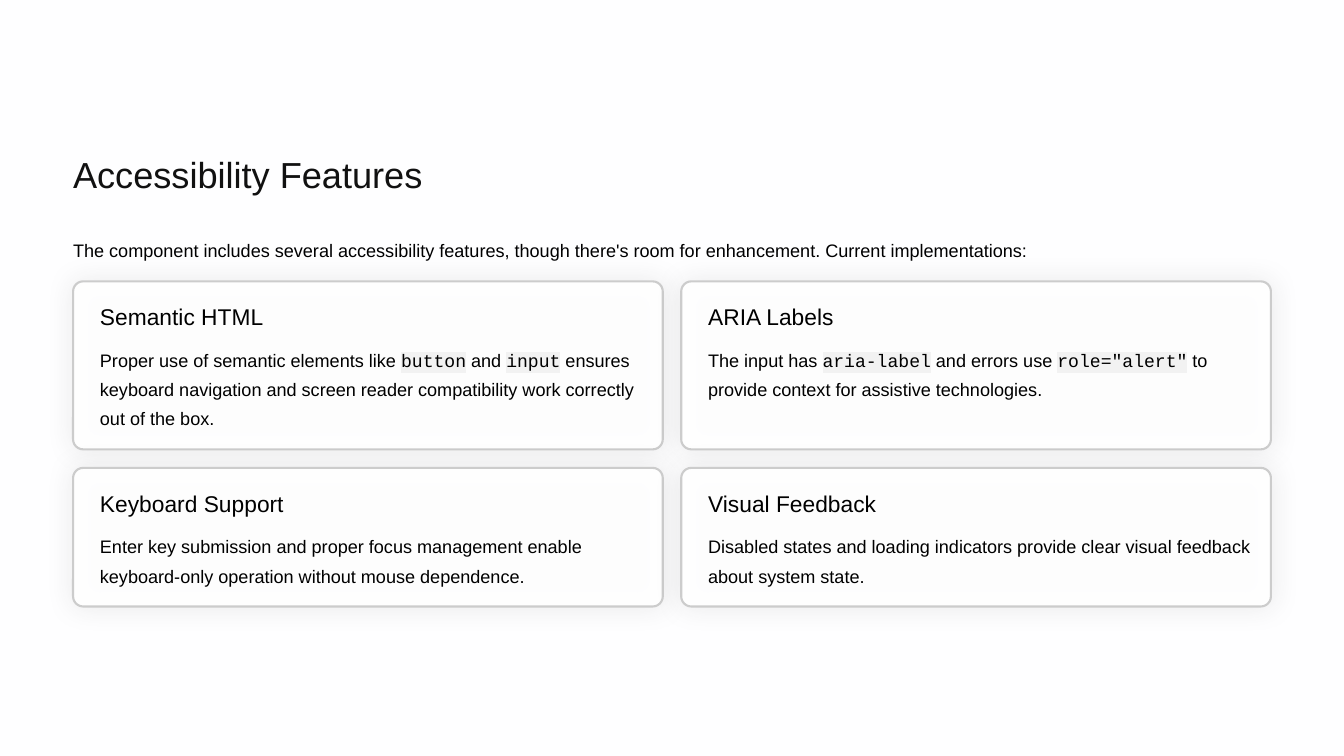
from lxml import etree
from pptx import Presentation
from pptx.dml.color import RGBColor
from pptx.enum.shapes import MSO_SHAPE
from pptx.oxml.ns import qn
from pptx.util import Inches, Pt

RECTANGLE = MSO_SHAPE.RECTANGLE
ROUNDED = MSO_SHAPE.ROUNDED_RECTANGLE
SLIDE_WIDTH, SLIDE_HEIGHT = 16, 9
MARGIN = 0.87
GAP = 0.22
CONTENT_WIDTH = SLIDE_WIDTH - 2 * MARGIN
CARD_WIDTH = (CONTENT_WIDTH - GAP) / 2
CARDS_TOP = 3.35
CORNER_RADIUS = 0.12

CARD_ROWS = [
    (2, [
        ("Semantic HTML",
         "Proper use of semantic elements like `button` and `input` ensures "
         "keyboard navigation and screen reader compatibility work correctly "
         "out of the box."),
        ("ARIA Labels",
         "The input has `aria-label` and errors use `role=\"alert\"` to "
         "provide context for assistive technologies."),
    ]),
    (1.65, [
        ("Keyboard Support",
         "Enter key submission and proper focus management enable "
         "keyboard-only operation without mouse dependence."),
        ("Visual Feedback",
         "Disabled states and loading indicators provide clear visual "
         "feedback about system state."),
    ]),
]


def color(hex_code):
    return RGBColor.from_string(hex_code)


def add_text(slide, text, left, top, width, height, size=15.5, leading=25,
             ink="000000", wrap=True):
    frame = slide.shapes.add_textbox(
        Inches(left), Inches(top), Inches(width), Inches(height)).text_frame
    frame.word_wrap = wrap
    frame.margin_left = frame.margin_right = 0
    frame.margin_top = frame.margin_bottom = 0
    paragraph = frame.paragraphs[0]
    paragraph.line_spacing = Pt(leading)
    for index, part in enumerate(text.split("`")):
        is_code = index % 2 == 1
        run = paragraph.add_run()
        run.text = part
        run.font.size = Pt(size)
        run.font.color.rgb = color(ink)
        if is_code:
            highlight = etree.SubElement(run.font._element, qn("a:highlight"))
            etree.SubElement(highlight, qn("a:srgbClr"), val="F2F2F2")
        run.font.name = "Courier New" if is_code else "Arial"


def add_panel(slide, preset, left, top, width, height):
    panel = slide.shapes.add_shape(
        preset, Inches(left), Inches(top), Inches(width), Inches(height))
    panel.shadow.inherit = False
    panel.fill.solid()
    panel.fill.fore_color.rgb = color("FFFFFF")
    tint = panel._element.spPr.find(qn("a:solidFill"))[0]
    etree.SubElement(tint, qn("a:alpha"), val="95000")
    panel.line.fill.background()
    return panel


def add_glow(panel):
    effects = panel._element.spPr.find(qn("a:effectLst"))
    shadow = etree.SubElement(
        effects, qn("a:outerShdw"), blurRad=str(Pt(23.4)), dist="0", dir="0",
        algn="ctr", rotWithShape="0")
    tint = etree.SubElement(shadow, qn("a:srgbClr"), val="333333")
    etree.SubElement(tint, qn("a:alpha"), val="10000")


def add_backdrop(slide):
    slide.background.fill.solid()
    slide.background.fill.fore_color.rgb = color("FDFBFF")
    add_panel(slide, RECTANGLE, 0, 0, SLIDE_WIDTH, SLIDE_HEIGHT)


def add_header(slide, left, top, width):
    add_text(slide, "Accessibility Features", left, top, 4.51, 0.54,
             size=31, leading=39, ink="111111", wrap=False)
    add_text(slide,
             "The component includes several accessibility features, though "
             "there's room for enhancement. Current implementations:",
             left, top + 0.97, width, 0.35, wrap=False)


def add_card(slide, heading, body, left, top, width, height):
    card = add_panel(slide, ROUNDED, left, top, width, height)
    card.adjustments[0] = CORNER_RADIUS / min(width, height)
    card.line.color.rgb = color("CCCCCC")
    card.line.width = Pt(1.8)
    add_glow(card)
    inset = 0.32
    add_text(slide, heading, left + inset, top + 0.25, 2.71, 0.34,
             size=19.5, leading=24, wrap=False)
    add_text(slide, body, left + inset, top + 0.72,
             width - 0.56, height - 0.96)


def add_card_grid(slide, left, top):
    for height, cards in CARD_ROWS:
        for column, (heading, body) in enumerate(cards):
            add_card(slide, heading, body,
                     left + column * (CARD_WIDTH + GAP), top,
                     CARD_WIDTH, height)
        top += height + GAP


def main():
    deck = Presentation()
    deck.slide_width = Inches(SLIDE_WIDTH)
    deck.slide_height = Inches(SLIDE_HEIGHT)
    slide = deck.slides.add_slide(deck.slide_layouts[6])
    add_backdrop(slide)
    add_header(slide, MARGIN, 1.79, CONTENT_WIDTH)
    add_card_grid(slide, MARGIN, CARDS_TOP)
    deck.save("out.pptx")


if __name__ == "__main__":
    main()
